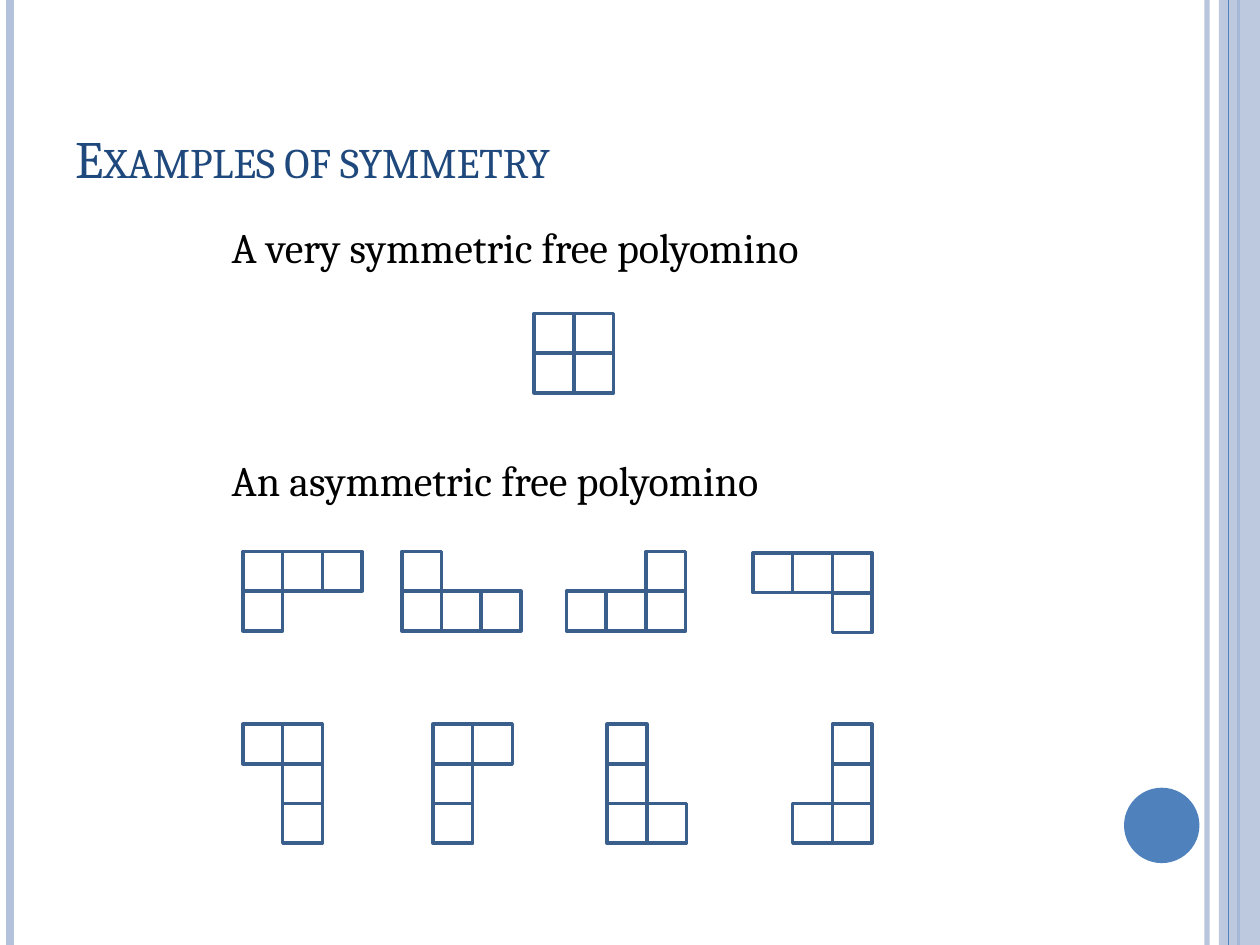
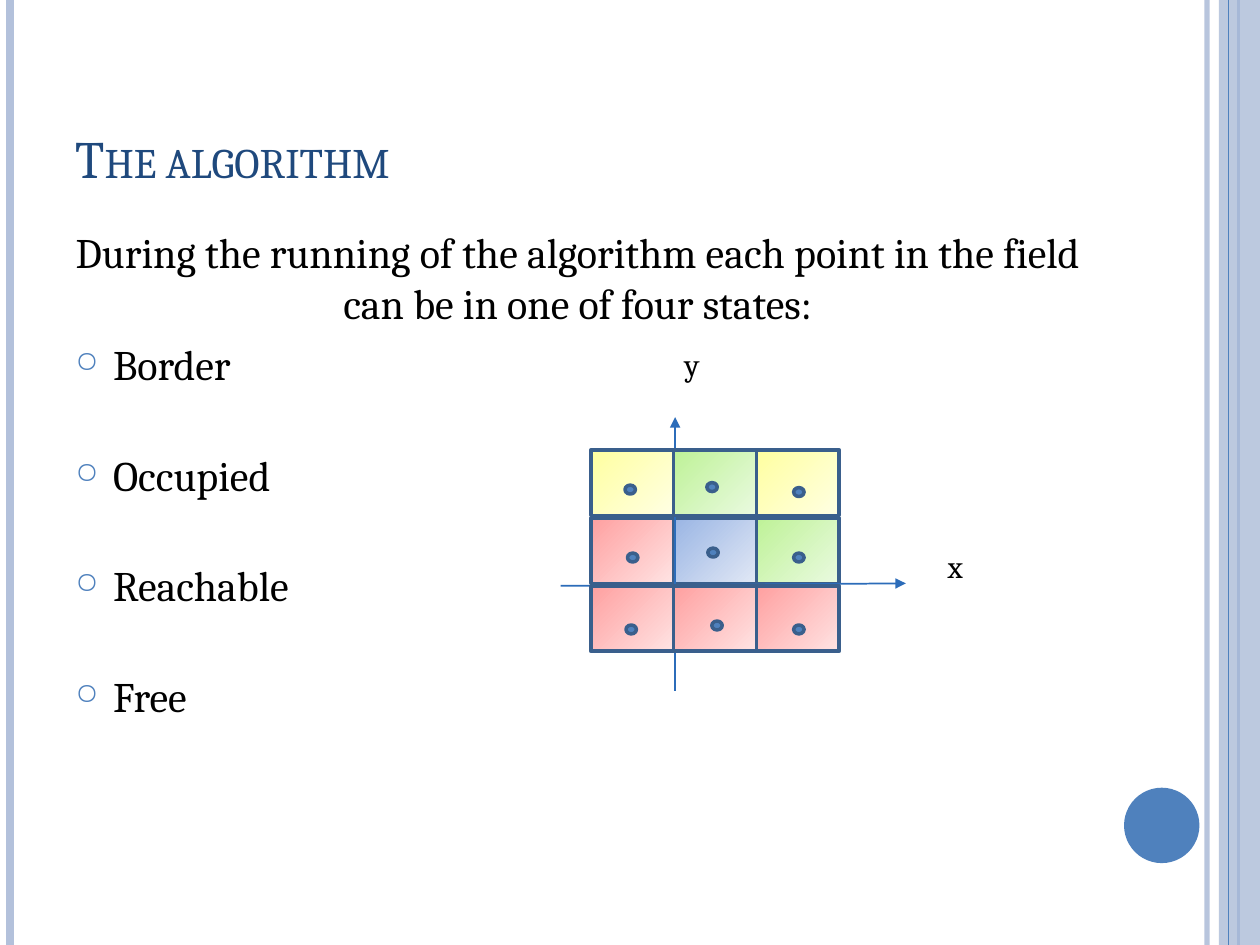
from lxml import etree
from pptx import Presentation
from pptx import util as u
from pptx.dml.color import RGBColor
from pptx.enum import shapes, text
from pptx.oxml.ns import qn

Cm, Pt = u.Cm, u.Pt
BOX, OVAL = shapes.MSO_SHAPE.RECTANGLE, shapes.MSO_SHAPE.OVAL
ALIGN = text.PP_ALIGN
FONT = "Cambria"
HEX = {
    "band": "B3C1DB", "blue": "4F81BD", "title": "1F497D", "ink": "000000",
    "edge": "3A5F8C", "axis": "2C6CB9",
}
# Each state of a point: start and end of its gradient
STATE = {
    "Y": ("FFFFA0", "FFFFE3"), "G": ("BEF297", "EAFAE0"),
    "R": ("FFA0A0", "FFE3E3"), "B": ("9AB5E4", "E1E8F5"),
}
RGB = {name: RGBColor.from_string(code) for name, code in HEX.items()}


def rule(page, x1, y1, x2, y2, tint, width):
    """Draw a straight line without a shadow."""
    line = page.shapes.add_connector(
        shapes.MSO_CONNECTOR.STRAIGHT, Cm(x1), Cm(y1), Cm(x2), Cm(y2))
    line.line.color.rgb = RGB[tint]
    line.line.width = Pt(width)
    etree.SubElement(line._element.spPr, qn("a:effectLst"))
    return line


def write(page, at, lines, size, tint="ink", align=ALIGN.LEFT):
    """Place a text box with one paragraph for each line."""
    frame = page.shapes.add_textbox(*map(Cm, at)).text_frame
    frame.word_wrap = True
    frame.text = "\n".join(lines)
    for para in frame.paragraphs:
        para.alignment = align
        for run in para.runs:
            run.font.name = FONT
            run.font.size = Pt(size)
            run.font.color.rgb = RGB[tint]
    return frame


deck = Presentation()
deck.slide_width, deck.slide_height = Cm(25.4), Cm(19.05)

# Shared frame and title
pages = []
for name in ("Examples of symmetry", "The algorithm"):
    page = deck.slides.add_slide(deck.slide_layouts[6])
    pages.append(page)
    thin = rule(page, 24.33, 0, 24.33, 19.05, "band", 3)
    rule(page, 0.21, 0, 0.21, 19.05, "band", 4.5)
    rule(page, 24.97, 0, 24.97, 19.05, "blue", 1.5)
    band = page.shapes.add_shape(BOX, Cm(24.57), 0, Cm(0.83), Cm(19.05))
    rule(page, 24.77, 0, 24.77, 19.05, "blue", 0.75)
    disc = page.shapes.add_shape(OVAL, Cm(22.66), Cm(15.88), Cm(1.52), Cm(1.52))
    for item, tint in ((band, "band"), (disc, "blue")):
        item.shadow.inherit = False
        item.fill.solid()
        item.fill.fore_color.rgb = RGB[tint]
        item.line.fill.background()
    for item, part in ((thin, 93), (band, 87)):
        for tone in item._element.spPr.iter(qn("a:srgbClr")):
            etree.SubElement(tone, qn("a:alpha"), val=str(part * 1000))

    head = write(page, (1.27, 0.76, 20.75, 3.18), [name], 30, "title")
    head.vertical_anchor = text.MSO_ANCHOR.BOTTOM
    head.paragraphs[0].runs[0]._r.get_or_add_rPr().set("cap", "small")

first, second = pages

# Slide 1: captions
body = write(first, (4.42, 4.34, 18, 7), [
    "A very symmetric free polyomino", "An asymmetric free polyomino"], 24)
for para, gap in zip(body.paragraphs, (6, 104.5)):
    para.space_before = Pt(gap)

# Slide 1: polyominoes, with X for each square and / between rows
SIDE = 0.8
tiles = [
    (10.77, 6.32, "XX/XX"),
    (4.9, 11.12, "XXX/X"), (8.1, 11.12, "X/XXX"),
    (11.42, 11.12, "--X/XXX"), (15.18, 11.15, "XXX/--X"),
    (4.9, 14.6, "XX/-X/-X"), (8.73, 14.6, "XX/X/X"),
    (12.24, 14.6, "X/X/XX"), (15.98, 14.6, "-X/-X/XX"),
]
for left, top, plan in tiles:
    group = first.shapes.add_group_shape()
    for row, marks in enumerate(plan.split("/")):
        for col, mark in enumerate(marks):
            if mark == "X":
                cell = group.shapes.add_shape(
                    BOX, Cm(left + col * SIDE), Cm(top + row * SIDE),
                    Cm(SIDE), Cm(SIDE))
                cell.shadow.inherit = False
                cell.fill.background()
                cell.line.color.rgb = RGB["edge"]
                cell.line.width = Pt(2)

# Slide 2: intro and list of states
body = write(second, (1.27, 4.45, 20.75, 13.54), [
    "During the running of the algorithm each point in the field "
    "can be in one of four states:",
    "Border", "Occupied", "Reachable", "Free"], 24)
intro, *items = body.paragraphs
intro.alignment = ALIGN.CENTER
intro.space_before = Pt(6)
for para in items:
    para.space_before = Pt(6 if para is items[0] else 34.5)
    props = para._p.get_or_add_pPr()
    props.set("marL", str(Cm(0.76)))
    props.set("indent", str(-Cm(0.76)))
    tone = etree.SubElement(props, qn("a:buClr"))
    etree.SubElement(tone, qn("a:srgbClr"), val=HEX["blue"])
    etree.SubElement(props, qn("a:buSzPct"), val="70000")
    etree.SubElement(props, qn("a:buChar"), char="○")

# Slide 2: field of points; the axes lie over the middle row only
field = ["YGY", "RBG", "RRR"]
for row in (1, 0, 2):
    for col, state in enumerate(field[row]):
        cell = second.shapes.add_shape(
            BOX, Cm(11.91 + col * 1.67), Cm(9.07 + row * 1.37),
            Cm(1.67), Cm(1.32))
        cell.shadow.inherit = False
        cell.fill.gradient()
        cell.fill.gradient_angle = 315
        for stop, code in zip(cell.fill.gradient_stops, STATE[state]):
            stop.color.rgb = RGBColor.from_string(code)
        cell.line.color.rgb = RGB["edge"]
        cell.line.width = Pt(2)
    if row == 1:
        for ends in ((13.61, 13.92, 13.61, 8.41), (11.3, 11.81, 18.26, 11.76)):
            axis = rule(second, *ends, "axis", 1)
            etree.SubElement(axis.line._get_or_add_ln(), qn("a:tailEnd"),
                             type="triangle")

# Slide 2: axis names
write(second, (13.11, 6.83, 1.24, 1.7), ["y"], 18, align=ALIGN.RIGHT)
write(second, (18.26, 10.9, 1.4, 1.7), ["x"], 18, align=ALIGN.RIGHT)

# Slide 2: points
dots = [
    (12.6, 9.78), (14.25, 9.73), (16, 9.83),
    (12.65, 11.15), (14.27, 11.05), (16, 11.15),
    (12.62, 12.6), (14.35, 12.52), (16, 12.6),
]
for left, top in dots:
    dot = second.shapes.add_shape(OVAL, Cm(left), Cm(top), Cm(0.21), Cm(0.18))
    dot.shadow.inherit = False
    dot.fill.solid()
    dot.fill.fore_color.rgb = RGB["blue"]
    dot.line.color.rgb = RGB["edge"]
    dot.line.width = Pt(2)

deck.save("out.pptx")
